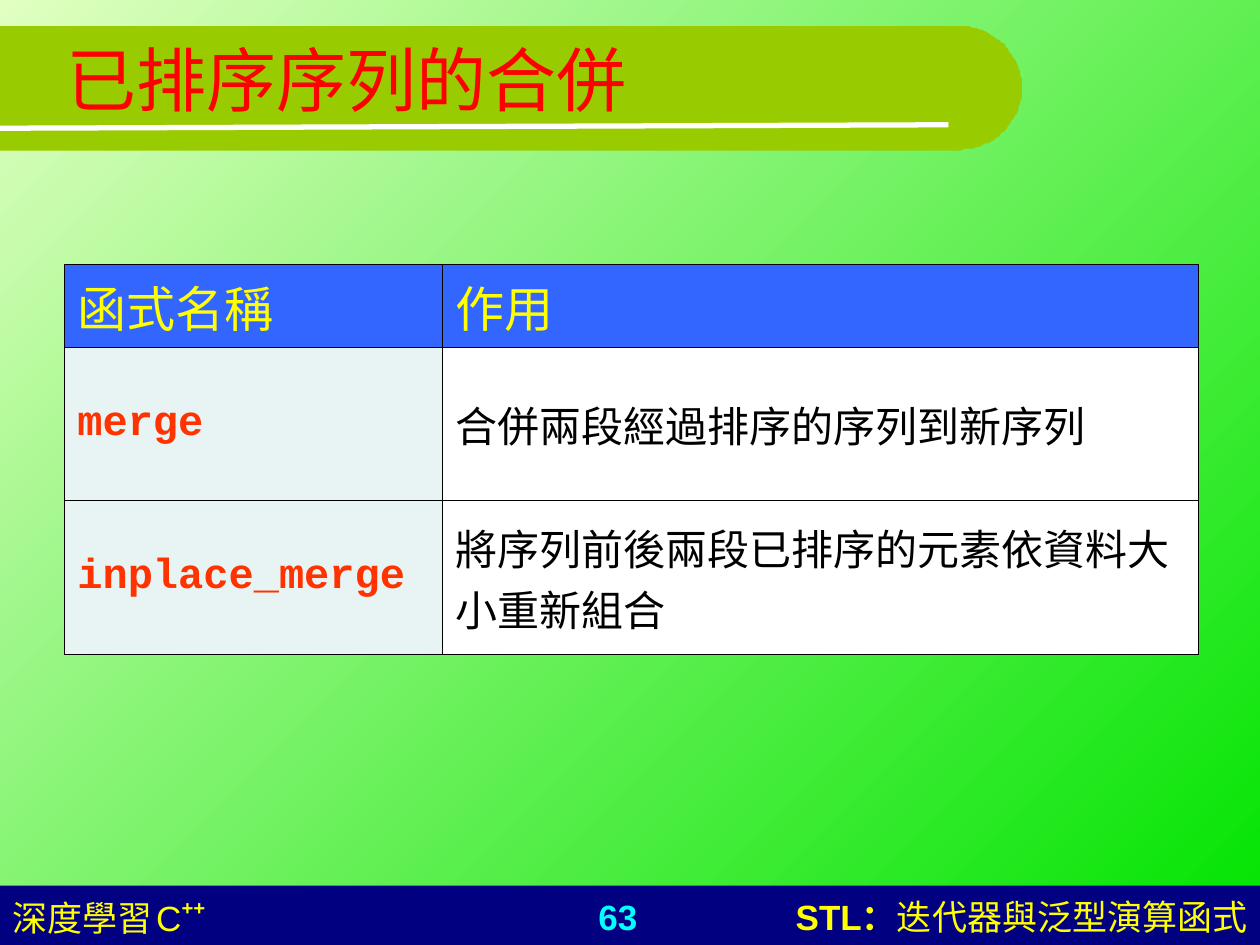
import math

from lxml import etree
from pptx import Presentation
from pptx.dml.color import RGBColor
from pptx.enum.shapes import MSO_CONNECTOR, MSO_SHAPE
from pptx.enum.text import MSO_ANCHOR, PP_ALIGN
from pptx.oxml.ns import qn
from pptx.util import Pt

LEFT, CENTER, RIGHT = PP_ALIGN.LEFT, PP_ALIGN.CENTER, PP_ALIGN.RIGHT
TOP, MIDDLE = MSO_ANCHOR.TOP, MSO_ANCHOR.MIDDLE
STRAIGHT, RECT = MSO_CONNECTOR.STRAIGHT, MSO_SHAPE.RECTANGLE
W, H = 720, 540
SANS, MONO = "Arial", "Courier New"
COLORS = {
    "bg_light": "E0FFC1", "bg_dark": "00E400", "band": "99CC00",
    "title": "FF0000", "footer": "000080", "number": "00FFFF",
    "yellow": "FFFF00", "header": "3366FF", "name_fill": "E8F4F4",
    "name": "FF3300", "white": "FFFFFF", "black": "000000",
}
ROWS = [
    ("函式名稱", "作用"),
    ("merge", "合併兩段經過排序的序列到新序列"),
    ("inplace_merge", "將序列前後兩段已排序的元素依資料大小重新組合"),
]


def rgb(name):
    return RGBColor.from_string(COLORS[name])


def add_run(p, text, size=20, color="yellow", font=SANS, bold=False, baseline=0):
    r = p.add_run()
    r.text = text
    r.font.size, r.font.name, r.font.bold = Pt(size), font, bold
    r.font.color.rgb = rgb(color)
    if baseline:
        r.font._element.set("baseline", str(baseline * 1000))


def add_text(s, box, runs, align=LEFT, anchor=TOP):
    """Add a text box holding one paragraph of (text, format) runs."""
    tf = s.shapes.add_textbox(*map(Pt, box)).text_frame
    tf.word_wrap, tf.vertical_anchor = True, anchor
    p = tf.paragraphs[0]
    p.alignment = align
    for text, fmt in runs:
        add_run(p, text, **fmt)


def paint(sp, color):
    sp.shadow.inherit = False
    sp.fill.solid()
    sp.fill.fore_color.rgb = rgb(color)
    sp.line.fill.background()


def set_background(s):
    fill = s.background.fill
    fill.gradient()
    fill.gradient_angle = 315
    for stop, color in zip(fill.gradient_stops, ("bg_light", "bg_dark")):
        stop.color.rgb = rgb(color)


def add_title(s, x, y, w, h):
    """Draw the band with its round right end, the rule and the title."""
    radius = h / 2
    cx, cy = x + w - radius, y + radius
    angles = [math.radians(a) for a in range(-90, 91, 3)]
    arc = [(cx + radius * math.cos(a), cy + radius * math.sin(a)) for a in angles]
    builder = s.shapes.build_freeform(x, y, scale=Pt(1))
    builder.add_line_segments(arc + [(x, y + h)], close=True)
    paint(builder.convert_to_shape(), "band")

    rule = s.shapes.add_connector(
        STRAIGHT, Pt(x), Pt(y + 58.3), Pt(x + 542), Pt(y + 56.3))
    rule.line.color.rgb, rule.line.width = rgb("white"), Pt(3)
    etree.SubElement(rule._element.spPr, qn("a:effectLst"))

    add_text(s, (x + 31, 0, 648, 90),
             [("已排序序列的合併", dict(size=40, color="title"))], anchor=MIDDLE)


def set_borders(cell, width=0.75):
    tc_pr = cell._tc.get_or_add_tcPr()
    for i, side in enumerate(("lnL", "lnR", "lnT", "lnB")):
        ln = etree.Element(qn(f"a:{side}"), w=str(Pt(width)))
        fill = etree.SubElement(ln, qn("a:solidFill"))
        etree.SubElement(fill, qn("a:srgbClr"), val=COLORS["black"])
        tc_pr.insert(i, ln)


def cell_style(row, col):
    """Return the fill and the text format of a cell."""
    if row == 0:
        return "header", dict(size=28, font=MONO)
    if col == 0:
        return "name_fill", dict(size=24, color="name", font=MONO, bold=True)
    return "white", dict(size=24, color="black", font=MONO)


def add_function_table(s, x, y, w, h):
    header_h = 47.5
    table = s.shapes.add_table(len(ROWS), 2, Pt(x), Pt(y), Pt(w), Pt(h)).table
    for col, share in enumerate((1 / 3, 2 / 3)):
        table.columns[col].width = Pt(w * share)
    for i, texts in enumerate(ROWS):
        table.rows[i].height = Pt(header_h if i == 0 else (h - header_h) / 2)
        for j, text in enumerate(texts):
            cell = table.cell(i, j)
            fill, fmt = cell_style(i, j)
            cell.fill.solid()
            cell.fill.fore_color.rgb = rgb(fill)
            cell.vertical_anchor = MIDDLE
            set_borders(cell)
            add_run(cell.text_frame.paragraphs[0], text, **fmt)


def add_footer(s, x, y, w, h):
    paint(s.shapes.add_shape(RECT, Pt(x), Pt(y), Pt(w), Pt(h)), "footer")
    top = y + 2
    add_text(s, (x + 269, top, 168, 32),
             [("63", dict(color="number", bold=True))], CENTER)
    add_text(s, (x + w - 315, top, 315, 32),
             [("STL：", dict(bold=True)), ("迭代器與泛型演算函式", {})], RIGHT)
    add_text(s, (x, top, 241, 32),
             [("深度學習", {}), (" ", dict(size=9)), ("C", {}),
              ("++", dict(bold=True, baseline=46))])


def main():
    prs = Presentation()
    prs.slide_width, prs.slide_height = Pt(W), Pt(H)
    s = prs.slides.add_slide(prs.slide_layouts[6])
    set_background(s)
    add_footer(s, 0, 506, W, 34)
    add_title(s, 0, 15, 584, 70.5)
    add_function_table(s, 37, 151, 648, 223)
    prs.save("out.pptx")


if __name__ == "__main__":
    main()
